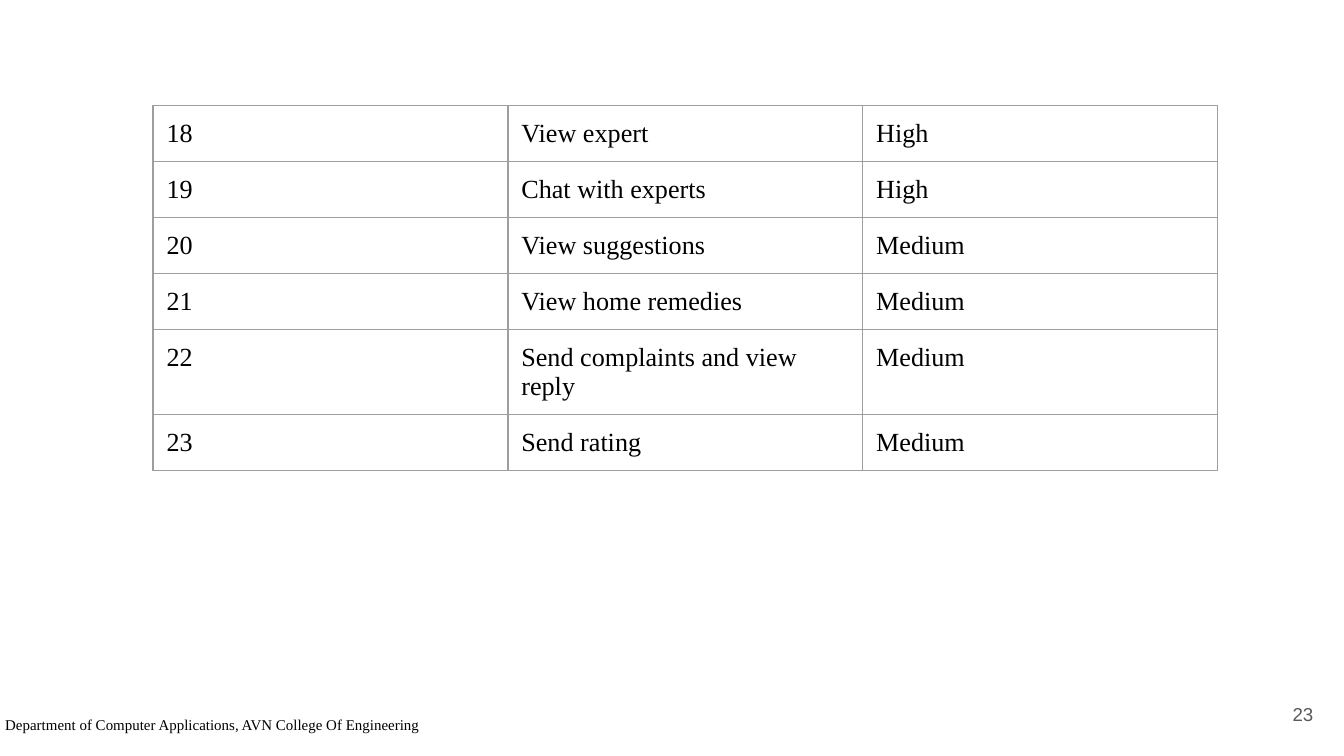
from lxml.etree import SubElement
from pptx import Presentation
from pptx.dml.color import RGBColor
from pptx.enum.text import MSO_ANCHOR as Anchor, MSO_AUTO_SIZE as AutoSize, PP_ALIGN as Align
from pptx.oxml.ns import qn
from pptx.util import Pt

REQUIREMENTS = [
    ("18", "View expert", "High"),
    ("19", "Chat with experts", "High"),
    ("20", "View suggestions", "Medium"),
    ("21", "View home remedies", "Medium"),
    ("22", "Send complaints and view reply", "Medium"),
    ("23", "Send rating", "Medium"),
]
FOOTER = "Department of Computer Applications, AVN College Of Engineering"
PAGE_NUMBER = "23"

COLORS = {"text": "000000", "page": "595959", "border": "9E9E9E"}
SERIF, SANS = "Times New Roman", "Arial"
INSET = Pt(7.2)
TABLE_LEFT, TABLE_TOP = 82, 56.7
COLUMN_WIDTH, ROW_HEIGHT = 190.1, 30


def add_run(paragraph, text, size, font=SERIF, color="text"):
    run = paragraph.add_run()
    run.text = text
    run.font.size = Pt(size)
    run.font.name = font
    run.font.color.rgb = RGBColor.from_string(COLORS[color])


def set_insets(holder):
    """Give a cell or a text frame the same margin on all sides."""
    holder.margin_left = holder.margin_right = INSET
    holder.margin_top = holder.margin_bottom = INSET


def add_borders(cell):
    properties = cell._tc.get_or_add_tcPr()
    for side in ("a:lnL", "a:lnR", "a:lnT", "a:lnB"):
        line = SubElement(properties, qn(side), w=str(Pt(0.75)))
        fill = SubElement(line, qn("a:solidFill"))
        SubElement(fill, qn("a:srgbClr"), val=COLORS["border"])


def add_text_box(slide, left, top, width, height):
    box = slide.shapes.add_textbox(Pt(left), Pt(top), Pt(width), Pt(height))
    frame = box.text_frame
    frame.word_wrap = True
    set_insets(frame)
    return frame


def add_requirements(slide):
    rows, columns = len(REQUIREMENTS), len(REQUIREMENTS[0])
    table = slide.shapes.add_table(
        rows, columns, Pt(TABLE_LEFT), Pt(TABLE_TOP),
        Pt(COLUMN_WIDTH * columns), Pt(ROW_HEIGHT * rows)).table
    table.first_row = table.horz_banding = False
    for row, requirement in enumerate(REQUIREMENTS):
        for column, text in enumerate(requirement):
            cell = table.cell(row, column)
            set_insets(cell)
            add_borders(cell)
            cell.fill.background()
            add_run(cell.text_frame.paragraphs[0], text, 14)


def main():
    deck = Presentation()
    deck.slide_width, deck.slide_height = Pt(720), Pt(405)
    slide = deck.slides.add_slide(deck.slide_layouts[6])

    add_requirements(slide)

    footer = add_text_box(slide, -4.3, 378.7, 389.5, 33.8)
    footer.auto_size = AutoSize.SHAPE_TO_FIT_TEXT
    add_run(footer.paragraphs[0], FOOTER, 8)

    page = add_text_box(slide, 667.4, 367.2, 43.2, 31)
    page.vertical_anchor = Anchor.MIDDLE
    page.paragraphs[0].alignment = Align.RIGHT
    add_run(page.paragraphs[0], PAGE_NUMBER, 10, SANS, "page")

    deck.save("out.pptx")


if __name__ == "__main__":
    main()
